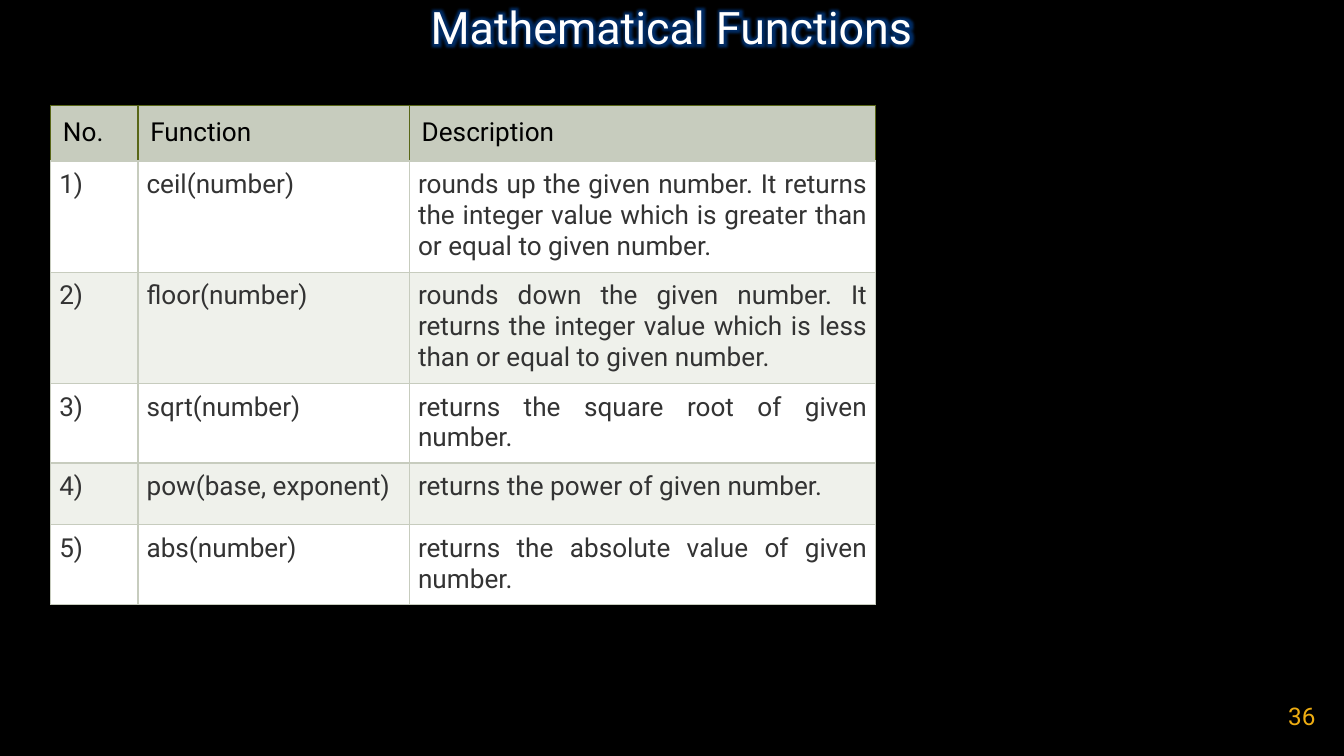
from lxml import etree
from pptx import Presentation
from pptx import util as u
from pptx.dml.color import RGBColor
from pptx.enum import text
from pptx.oxml import ns

COLORS = {
    "background": "000000", "title": "FFFFFF", "glow": "0070FF",
    "number": "EEAD12", "header": "C7CCBE", "header_text": "000000",
    "header_line": "586617", "body_text": "333333", "line": "C7CCBE",
    "odd": "FFFFFF", "even": "EFF1EB",
}
FONT = "Roboto"
HEADINGS = ("No.", "Function", "Description")
FUNCTIONS = (
    ("ceil(number)", "rounds up the given number. It returns the integer value "
                     "which is greater than or equal to given number."),
    ("floor(number)", "rounds down the given number. It returns the integer value "
                      "which is less than or equal to given number."),
    ("sqrt(number)", "returns the square root of given number."),
    ("pow(base, exponent)", "returns the power of given number."),
    ("abs(number)", "returns the absolute value of given number."),
)
COLUMN_WIDTHS = (1.65, 5.13, 8.81)
ROW_HEIGHTS = (0.9, 2.03, 2.03, 1.17, 1.17, 1.17)


def rgb(name):
    return RGBColor.from_string(COLORS[name])


def add_run(paragraph, words, size, color):
    run = paragraph.add_run()
    run.text = words
    run.font.size = u.Pt(size)
    run.font.name = FONT
    run.font.color.rgb = rgb(color)
    return run


def add_label(slide, box, words, size, color, align):
    """Add one line of text, centred vertically in the box; return its run."""
    frame = slide.shapes.add_textbox(*map(u.Cm, box)).text_frame
    frame.word_wrap = True
    frame.vertical_anchor = text.MSO_ANCHOR.MIDDLE
    frame.margin_left = frame.margin_right = 0
    frame.margin_top = frame.margin_bottom = 0
    paragraph = frame.paragraphs[0]
    paragraph.alignment = align
    return add_run(paragraph, words, size, color)


def add_title(slide, box):
    run = add_label(slide, box, "Mathematical Functions", 24, "title",
                    text.PP_ALIGN.CENTER)
    effects = etree.Element(ns.qn("a:effectLst"))
    glow = etree.SubElement(effects, ns.qn("a:glow"), rad=str(u.Pt(9)))
    color = etree.SubElement(glow, ns.qn("a:srgbClr"), val=COLORS["glow"])
    etree.SubElement(color, ns.qn("a:alpha"), val="40000")
    run.font.fill  # the glow follows the text fill
    run._r.get_or_add_rPr().find(ns.qn("a:solidFill")).addnext(effects)


def set_borders(cell, colors):
    """Draw the left, right, top and bottom borders in the four colours."""
    properties = cell._tc.get_or_add_tcPr()
    for place, (side, color) in enumerate(zip("LRTB", colors)):
        line = etree.Element(ns.qn(f"a:ln{side}"), w=str(u.Pt(0.75)))
        fill = etree.SubElement(line, ns.qn("a:solidFill"))
        etree.SubElement(fill, ns.qn("a:srgbClr"), val=COLORS[color])
        properties.insert(place, line)


def fill_cell(cell, words, fill, color, margin, align, borders):
    cell.fill.solid()
    cell.fill.fore_color.rgb = rgb(fill)
    cell.margin_left = cell.margin_right = u.Cm(margin)
    cell.margin_top = cell.margin_bottom = u.Cm(margin)
    paragraph = cell.text_frame.paragraphs[0]
    paragraph.alignment = align
    add_run(paragraph, words, 14, color)
    set_borders(cell, borders)


def add_function_table(slide, left, top):
    table = slide.shapes.add_table(
        len(ROW_HEIGHTS), len(COLUMN_WIDTHS), u.Cm(left), u.Cm(top),
        u.Cm(sum(COLUMN_WIDTHS)), u.Cm(sum(ROW_HEIGHTS))).table
    for column, width in zip(table.columns, COLUMN_WIDTHS):
        column.width = u.Cm(width)
    for row, height in zip(table.rows, ROW_HEIGHTS):
        row.height = u.Cm(height)

    for cell, heading in zip(table.rows[0].cells, HEADINGS):
        fill_cell(cell, heading, "header", "header_text", 0.23,
                  text.PP_ALIGN.LEFT, ["header_line"] * 3 + ["line"])
    for number, entry in enumerate(FUNCTIONS, start=1):
        band = "odd" if number % 2 else "even"
        for cell, words in zip(table.rows[number].cells, (f"{number})", *entry)):
            fill_cell(cell, words, band, "body_text", 0.16,
                      text.PP_ALIGN.JUSTIFY, ["line"] * 4)


def main():
    deck = Presentation()
    deck.slide_width, deck.slide_height = u.Cm(25.4), u.Cm(14.29)
    slide = deck.slides.add_slide(deck.slide_layouts[6])
    slide.background.fill.solid()
    slide.background.fill.fore_color.rgb = rgb("background")
    add_title(slide, (3.05, -0.05, 19.28, 1.09))
    add_label(slide, (23.34, 12.98, 1.52, 1.09), "36", 13, "number",
              text.PP_ALIGN.RIGHT)
    add_function_table(slide, 0.96, 1.99)
    deck.save("out.pptx")


if __name__ == "__main__":
    main()
